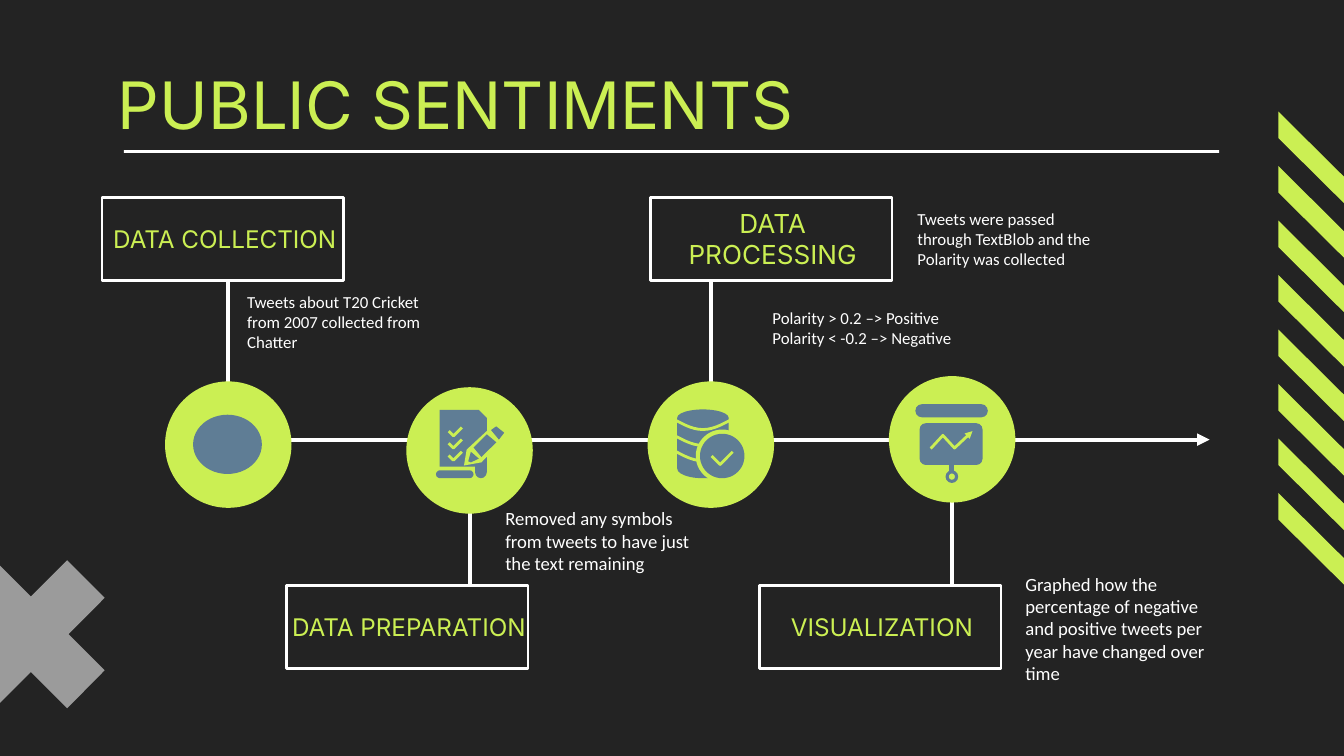
"""Build the slide on the four stages of the public sentiments study."""
import math

import pptx
import pptx.chart.data
import pptx.dml.color
import pptx.enum.dml
import pptx.enum.shapes
import pptx.enum.text
import pptx.oxml
import pptx.oxml.ns
import pptx.util
from lxml import etree

Cm = pptx.util.Cm
Pt = pptx.util.Pt
Shape = pptx.enum.shapes.MSO_SHAPE
Anchor = pptx.enum.text.MSO_ANCHOR
Align = pptx.enum.text.PP_ALIGN

COLORS = {"dark": "232323", "lime": "CBEF53", "white": "FFFFFF", "grey": "9B9B9B", "slate": "5F7D95"}
TITLE = "PUBLIC SENTIMENTS"
AXIS_Y = 8.31
CIRCLE_LEFT, CIRCLE_STEP, CIRCLE_SIZE = 3.12, 4.56, 2.39
BOX_SIZE = (4.57, 1.57)
ROWS = {"upper": (3.73, 4.6), "lower": (11.07, 12.29)}

STAGES = [
    {"name": "DATA COLLECTION", "size": 13, "row": "upper", "box_left": 1.93, "circle_top": 7.21, "icon": "message"},
    {"name": "DATA PREPARATION", "size": 13, "row": "lower", "box_left": 5.41, "circle_top": 7.32, "icon": "checklist"},
    {"name": "DATA PROCESSING", "size": 14, "row": "upper", "box_left": 12.29, "circle_top": 7.21, "icon": "database"},
    {"name": "VISUALIZATION", "size": 13, "row": "lower", "box_left": 14.35, "circle_top": 7.11, "icon": "board"},
]

NOTES = [
    (["Tweets about T20 Cricket from 2007 collected from Chatter"], 9, (4.42, 5.33, 4.14, 1.5)),
    (["Removed any symbols from tweets to have just the text remaining"], 10, (9.3, 9.37, 4.14, 1.7)),
    (["Tweets were passed through TextBlob and the Polarity was collected"], 9, (17.09, 3.76, 4.14, 1.5)),
    (["Polarity > 0.2 –> Positive", "Polarity < -0.2 –> Negative"], 9, (14.35, 5.44, 4.57, 1.5)),
    (["Graphed how the percentage of negative and positive tweets per year have changed over time"],
     10, (19.13, 11.13, 4.14, 1.5)),
]

TICKS = [[(0.8, y), (0.89, y + 0.09), (1.05, y - 0.07)] for y in (0.83, 1.06, 1.29)]
DISK_EDGES = [[(0.54 + 1.01 * t / 12, y + 0.17 * math.sin(math.pi * t / 12)) for t in range(13)]
              for y in (0.74, 1.04, 1.33)]
ICONS = {
    "message": [(Shape.OVAL, (0.53, 0.63, 1.3, 1.12), "slate")],
    "checklist": [
        (Shape.SNIP_1_RECTANGLE, (0.63, 0.43, 0.89, 1.07), "slate"),
        (Shape.ROUNDED_RECTANGLE, (1.3, 1.3, 0.22, 0.42), "slate"),
        (Shape.ROUNDED_RECTANGLE, (0.56, 1.57, 0.71, 0.15), "slate"),
        ("polygon", [(1.68, 0.68), (1.14, 1.18), (1.09, 1.48), (1.42, 1.42), (1.92, 0.9)], "lime"),
        ("polygon", [(1.7, 0.74), (1.6, 0.81), (1.75, 0.99), (1.85, 0.86)], "slate"),
        ("polygon", [(1.52, 0.89), (1.27, 1.14), (1.42, 1.32), (1.7, 1.04)], "slate"),
        ("polygon", [(1.22, 1.22), (1.17, 1.4), (1.22, 1.42), (1.37, 1.35)], "slate"),
    ] + [("stroke", tick, "lime") for tick in TICKS],
    "database": [
        (Shape.OVAL, (0.56, 0.53, 0.97, 0.31), "slate"),
        (Shape.RECTANGLE, (0.56, 0.69, 0.97, 0.96), "slate"),
        (Shape.OVAL, (0.56, 1.47, 0.97, 0.36), "slate"),
    ] + [("stroke", edge, "lime") for edge in DISK_EDGES] + [
        (Shape.OVAL, (0.91, 0.91, 1.0, 1.0), "lime"),
        (Shape.OVAL, (0.99, 0.99, 0.84, 0.84), "slate"),
        ("stroke", [(1.21, 1.41), (1.37, 1.57), (1.61, 1.33)], "lime"),
    ],
    "board": [
        (Shape.ROUNDED_RECTANGLE, (0.5, 0.53, 1.37, 0.25), "slate"),
        (Shape.ROUNDED_RECTANGLE, (0.58, 0.89, 1.19, 0.79), "slate"),
        (Shape.RECTANGLE, (1.14, 1.65, 0.09, 0.16), "slate"),
        (Shape.DONUT, (1.07, 1.78, 0.24, 0.24), "slate"),
        ("arrow", [(0.79, 1.37), (1.02, 1.12), (1.24, 1.36), (1.58, 1.04)], "lime"),
    ],
}


def rgb(name):
    return pptx.dml.color.RGBColor.from_string(COLORS[name])


def paint(shape, fill=None, line=None, width=1.5):
    shape.shadow.inherit = False
    if fill:
        shape.fill.solid()
        shape.fill.fore_color.rgb = rgb(fill)
    else:
        shape.fill.background()
    if line:
        shape.line.color.rgb = rgb(line)
        shape.line.width = Pt(width)
    else:
        shape.line.fill.background()


def add_preset(page, kind, place, fill, line=None):
    shape = page.shapes.add_shape(kind, *map(Cm, place))
    paint(shape, fill, line)
    return shape


def add_outline(page, points, fill=None, line=None):
    corners = [(Cm(x), Cm(y)) for x, y in points]
    builder = page.shapes.build_freeform(*corners[0])
    builder.add_line_segments(corners[1:], close=fill is not None)
    shape = builder.convert_to_shape()
    paint(shape, fill, line)
    return shape


def add_arrowhead(shape, size="med"):
    line = shape.line._get_or_add_ln()
    etree.SubElement(line, pptx.oxml.ns.qn("a:tailEnd"), type="triangle", w=size, len=size)


def add_line(page, start, end):
    line = page.shapes.add_connector(pptx.enum.shapes.MSO_CONNECTOR.STRAIGHT, *map(Cm, start + end))
    line.line.color.rgb = rgb("white")
    line.line.width = Pt(2.25)
    etree.SubElement(line._element.spPr, pptx.oxml.ns.qn("a:effectLst"))
    return line


def write(shape, lines, size, font, color, align=Align.LEFT, anchor=Anchor.MIDDLE):
    frame = shape.text_frame
    frame.text = "\n".join(lines)
    frame.word_wrap = True
    frame.auto_size = pptx.enum.text.MSO_AUTO_SIZE.NONE
    frame.vertical_anchor = anchor
    frame.margin_left = frame.margin_right = frame.margin_top = frame.margin_bottom = Cm(0.25)
    for para in frame.paragraphs:
        para.alignment = align
        para.font.size = Pt(size)
        para.font.name = font
        para.font.color.rgb = rgb(color)


def add_icon(page, parts, left, top):
    for kind, geometry, color in parts:
        if kind in ("polygon", "stroke", "arrow"):
            points = [(left + x, top + y) for x, y in geometry]
            if kind == "polygon":
                add_outline(page, points, fill=color)
            else:
                stroke = add_outline(page, points, line=color)
                if kind == "arrow":
                    add_arrowhead(stroke, "sm")
        else:
            x, y, width, height = geometry
            shape = add_preset(page, kind, (left + x, top + y, width, height), color)
            if kind == Shape.ROUNDED_RECTANGLE:
                shape.adjustments[0] = 0.15 if height > 0.5 else 0.5


def add_decoration(page):
    for index in range(8):
        y = 2.11 + 1.03 * index
        add_outline(page, [(24.16, y), (24.16, y + 0.5), (25.58, y + 1.91), (25.58, y + 1.41)], "lime")
    bar = [(1.27, 10.59), (-0.81, 12.67), (-0.1, 13.39), (1.98, 11.3)]
    add_outline(page, bar, "grey")
    add_outline(page, [(1.17 - x, y) for x, y in bar], "grey")


def add_stage(page, index, stage):
    left, top = CIRCLE_LEFT + CIRCLE_STEP * index, stage["circle_top"]
    box_top, stem_end = ROWS[stage["row"]]
    center = left + CIRCLE_SIZE / 2
    add_line(page, (center, AXIS_Y), (center, stem_end))
    add_preset(page, Shape.RECTANGLE, (stage["box_left"], box_top, *BOX_SIZE), "dark", "white")
    add_preset(page, Shape.OVAL, (left, top, CIRCLE_SIZE, CIRCLE_SIZE), "lime")
    add_icon(page, ICONS[stage["icon"]], left, top)
    label = page.shapes.add_textbox(*map(Cm, (stage["box_left"] - 0.2, box_top + 0.42, 5.03, 0.71)))
    write(label, [stage["name"]], stage["size"], "Inter", "lime", Align.CENTER)


def main():
    deck = pptx.Presentation()
    deck.slide_width, deck.slide_height = Cm(25.4), Cm(14.29)
    page = deck.slides.add_slide(deck.slide_layouts[5])
    page.background.fill.solid()
    page.background.fill.fore_color.rgb = rgb("dark")
    add_decoration(page)
    title = page.shapes.title
    title.left, title.top, title.width, title.height = map(Cm, (1.98, 0.97, 21.44, 1.7))
    write(title, [TITLE], 35, "Inter", "lime", anchor=Anchor.TOP)
    add_preset(page, Shape.RECTANGLE, (2.34, 2.84, 20.7, 0.05), "white")
    add_arrowhead(add_line(page, (3.78, AXIS_Y), (22.86, AXIS_Y)))
    for index, stage in enumerate(STAGES):
        add_stage(page, index, stage)
    for lines, size, place in NOTES:
        write(page.shapes.add_textbox(*map(Cm, place)), lines, size, "Calibri", "white")
    deck.save("out.pptx")


if __name__ == "__main__":
    main()
